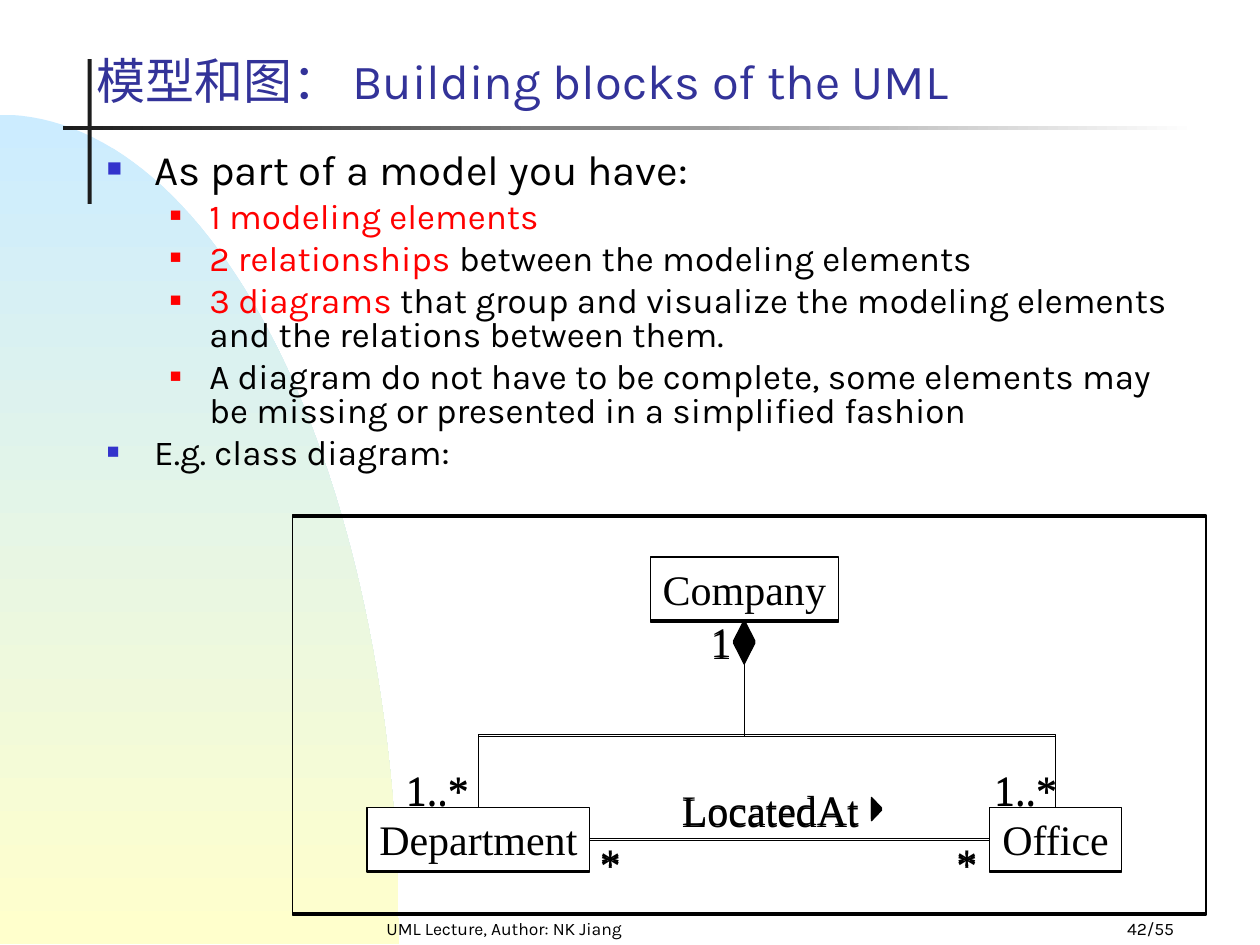
from math import cos, pi, sin

from lxml.etree import SubElement
from pptx import Presentation
from pptx.dml.color import RGBColor
from pptx.enum.shapes import MSO_CONNECTOR as Link, MSO_SHAPE as Kind
from pptx.enum.text import MSO_ANCHOR as Anchor, MSO_AUTO_SIZE as Fit, PP_ALIGN as Align
from pptx.oxml.ns import qn
from pptx.util import Pt

BLACK = RGBColor(0x00, 0x00, 0x00)
WHITE = RGBColor(0xFF, 0xFF, 0xFF)
DARK = RGBColor(0x1C, 0x1C, 0x1C)
SKY = RGBColor(0xCC, 0xEC, 0xFF)
CREAM = RGBColor(0xFF, 0xFF, 0xCC)
NAVY = RGBColor(0x33, 0x33, 0x99)
BLUE = RGBColor(0x33, 0x33, 0xCC)
RED = RGBColor(0xFF, 0x00, 0x00)

SANS = "Karla"
SERIF = "Times New Roman"
WRAP = {"word_wrap": True, "auto_size": Fit.NONE}
LOW = {**WRAP, "vertical_anchor": Anchor.BOTTOM}
SNUG = {**WRAP, "vertical_anchor": Anchor.MIDDLE, "margin_left": 0, "margin_right": 0}

POINTS = [
    (0, 24, [("As part of a model you have:", BLACK)]),
    (1, 20, [("1 modeling elements", RED)]),
    (1, 20, [("2 relationships ", RED), ("between the modeling elements", BLACK)]),
    (1, 20, [("3 diagrams ", RED),
             ("that group and visualize the modeling elements "
              "and the relations between them.", BLACK)]),
    (1, 20, [("A diagram do not have to be complete, some elements may "
              "be missing or presented in a simplified fashion", BLACK)]),
    (0, 20, [("E.g. class diagram:", BLACK)]),
]
LEVELS = [(27, 27, BLUE, 60), (58.5, 22.5, RED, 55)]

LABELS = [
    ("LocatedAt", 215.3, 149.8, 126),
    ("1", 231.8, 54, 34),
    ("1..*", 57.6, 138.2, 62),
    ("1..*", 393.8, 138.2, 62),
    ("*", 168.5, 180, 34),
    ("*", 372.2, 180, 34),
]


def put(obj, form):
    for name, value in form.items():
        setattr(obj, name, value)


def write(para, text, size, face, color):
    run = para.add_run()
    run.text = text
    put(run.font, {"size": Pt(size), "name": face})
    run.font.color.rgb = color


def label(slide, box, text, size, face, color, form, align=Align.LEFT):
    frame = slide.shapes.add_textbox(*map(Pt, box)).text_frame
    put(frame, form)
    para = frame.paragraphs[0]
    para.alignment = align
    write(para, text, size, face, color)


def block(slide, kind, box, fill=None, line=None):
    shape = slide.shapes.add_shape(kind, *map(Pt, box))
    paint(shape, fill, line)
    return shape


def paint(shape, fill, line):
    shape.shadow.inherit = False
    if fill is None:
        shape.fill.background()
    else:
        shape.fill.solid()
        shape.fill.fore_color.rgb = fill
    if line is None:
        shape.line.fill.background()
    else:
        shape.line.color.rgb = line
        shape.line.width = Pt(0.75)


def blend(shape, first, last, angle):
    shape.fill.gradient()
    shape.fill.gradient_angle = angle
    for stop, color in zip(shape.fill.gradient_stops, (first, last)):
        stop.color.rgb = color


def wire(slide, kind, *ends):
    line = slide.shapes.add_connector(kind, *map(Pt, ends))
    line.line.color.rgb = BLACK
    line.line.width = Pt(0.75)
    SubElement(line._element.spPr, qn("a:effectLst"))
    return line


def elbow(slide, x1, y1, x2, y2):
    mid, half = (x1 + x2) / 2, (y2 - y1) / 2
    side = abs(x2 - x1) / 2
    turn = 90 if x2 < x1 else 270
    if turn == 270:
        half = -half
    cy = (y1 + y2) / 2
    line = wire(slide, Link.ELBOW, mid - half, cy - side, mid + half, cy + side)
    line._element.spPr.find(qn("a:xfrm")).set("rot", str(turn * 60000))


def decor(slide, box):
    x, y, w, h = box
    arc = [(x + w * sin(pi * i / 120), y + h * (1 - cos(pi * i / 120))) for i in range(61)]
    pen = slide.shapes.build_freeform(Pt(x), Pt(y))
    pen.add_line_segments([(Pt(a), Pt(b)) for a, b in arc[1:] + [(x, y + h)]])
    curve = pen.convert_to_shape()
    paint(curve, SKY, None)
    blend(curve, SKY, CREAM, 270)
    block(slide, Kind.RECTANGLE, (50, 33.8, 2.4, 82.8), DARK)
    rule = block(slide, Kind.RECTANGLE, (36, 72, 648, 2.3), DARK)
    blend(rule, DARK, WHITE, 0)


def bullet(para, level):
    left, hang, color, size = LEVELS[level]
    props = para._p.get_or_add_pPr()
    put(para, {"level": level, "line_spacing": 0.8})
    props.set("marL", str(Pt(left)))
    props.set("indent", str(Pt(-hang)))
    tint = SubElement(props, qn("a:buClr"))
    SubElement(tint, qn("a:srgbClr")).set("val", str(color))
    SubElement(props, qn("a:buSzPct")).set("val", str(size * 1000))
    SubElement(props, qn("a:buFont")).set("typeface", SERIF)
    SubElement(props, qn("a:buChar")).set("char", "■")


def body(slide, box):
    frame = slide.shapes.add_textbox(*map(Pt, box)).text_frame
    put(frame, WRAP)
    for i, (level, size, runs) in enumerate(POINTS):
        para = frame.add_paragraph() if i else frame.paragraphs[0]
        bullet(para, level)
        if i:
            para.space_before = Pt(5)
        for text, color in runs:
            write(para, text, size, SANS, color)


def entity(slide, box, name):
    shape = block(slide, Kind.RECTANGLE, box, WHITE, BLACK)
    put(shape.text_frame, SNUG)
    para = shape.text_frame.paragraphs[0]
    para.alignment = Align.CENTER
    write(para, name, 24, SERIF, BLACK)
    return shape


def diagram(slide, box):
    x, y, w, h = box
    entity(slide, (x + 204.5, y + 24, 107.3, 36), "Company")
    dept = entity(slide, (x + 42.5, y + 167, 127.4, 36), "Department")
    office = entity(slide, (x + 398.2, y + 167, 75.6, 36), "Office")
    link = wire(slide, Link.STRAIGHT, x + 169.9, y + 185, x + 398.2, y + 185)
    link.begin_connect(dept, 3)
    link.end_connect(office, 1)
    block(slide, Kind.ISOSCELES_TRIANGLE, (x + 327.6, y + 164.6, 12.2, 5.8),
          BLACK, BLACK).rotation = 90
    block(slide, Kind.DIAMOND, (x + 252, y + 60, 12.2, 24), BLACK, BLACK)
    for end in (106.2, 436):
        elbow(slide, x + 258.1, y + 84, x + end, y + 167)
    for text, dx, dy, wide in LABELS:
        label(slide, (x + dx, y + dy, wide, 36), text, 24, SERIF, BLACK, WRAP)
    block(slide, Kind.RECTANGLE, box, None, BLACK)


def footer(slide, y, h):
    label(slide, (174, y, 228, h), "UML Lecture, Author: NK Jiang", 10, SANS, BLACK,
          LOW, Align.CENTER)
    label(slide, (528, y, 150, h), "42/55", 10, SANS, BLACK, LOW, Align.RIGHT)


def main():
    deck = Presentation()
    put(deck, {"slide_width": Pt(720), "slide_height": Pt(540)})
    slide = deck.slides.add_slide(deck.slide_layouts[6])
    decor(slide, (0, 65.5, 228, 474))
    footer(slide, 516, 24)
    label(slide, (48, 12, 550, 54), "模型和图： Building blocks of the UML", 28, SANS, NAVY, LOW)
    body(slide, (54, 84, 636, 197))
    for top in (295.4, 294.3):
        diagram(slide, (167.2, top, 522, 227.5))
    deck.save("out.pptx")


if __name__ == "__main__":
    main()
